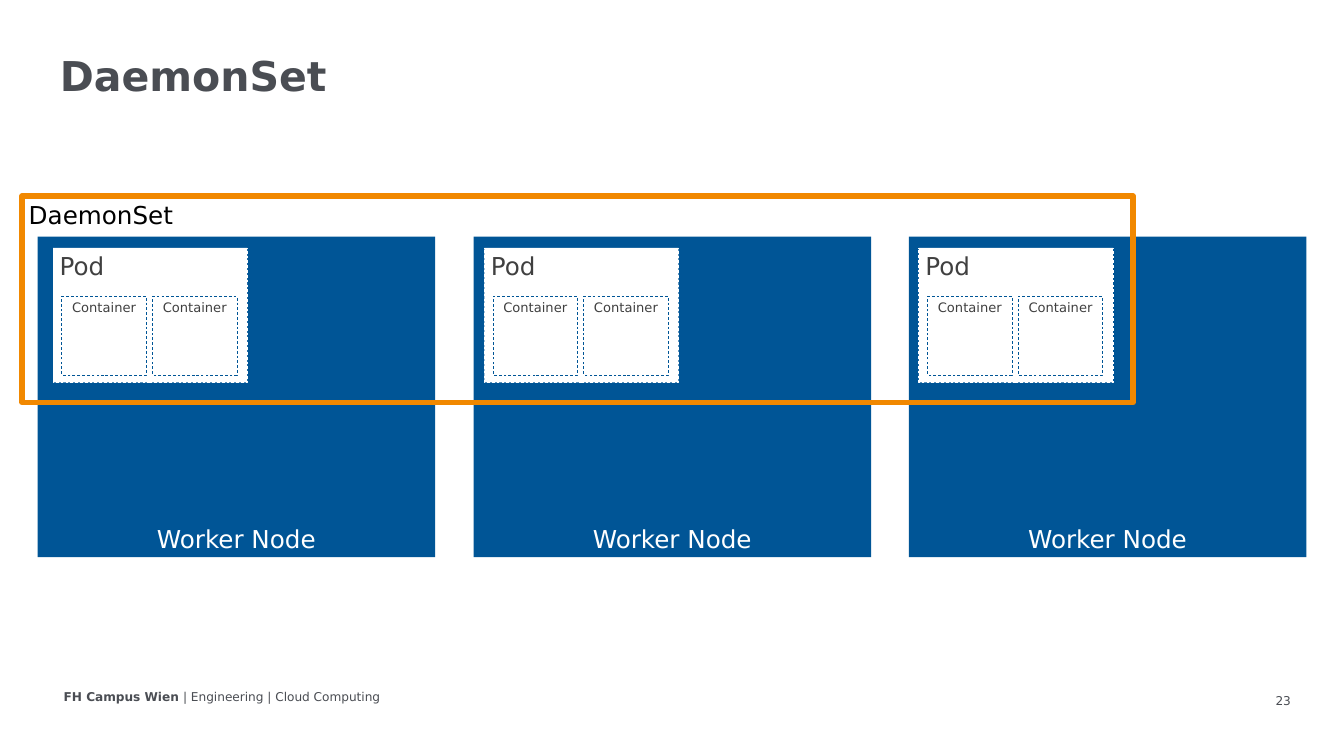
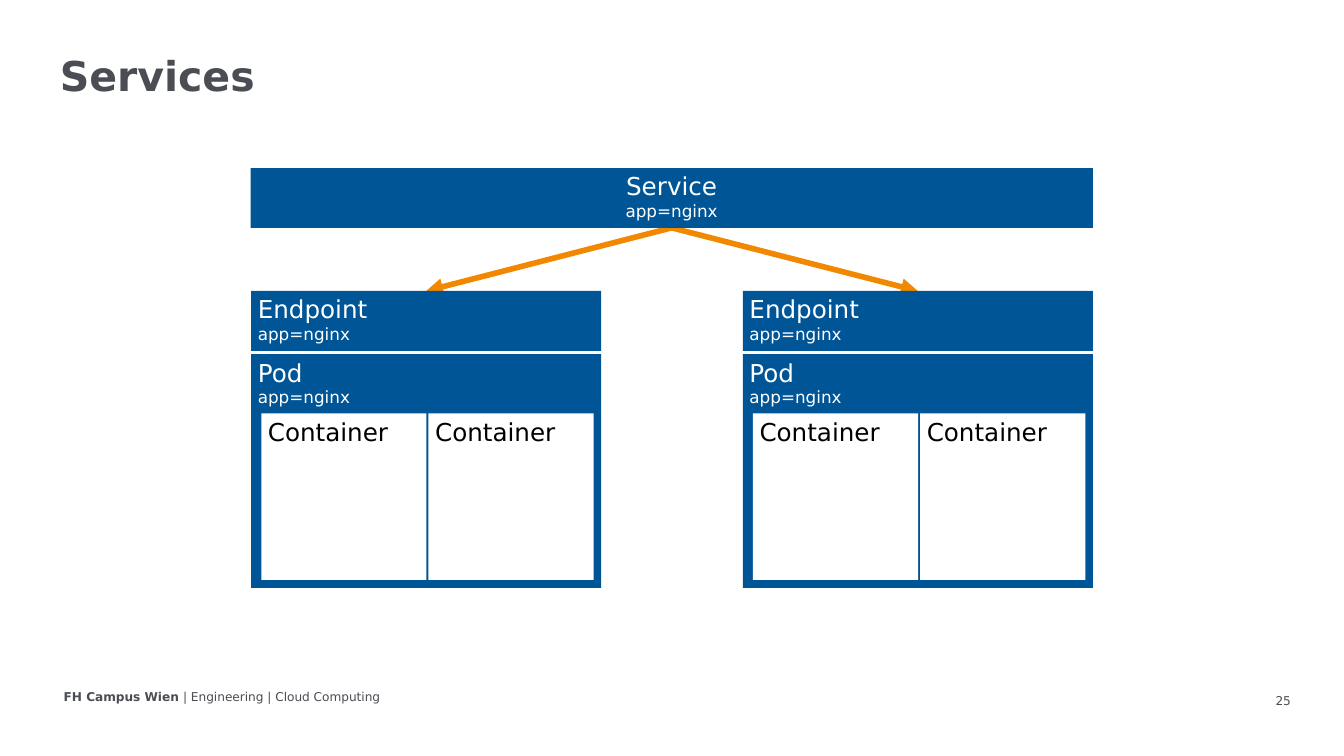
from dataclasses import dataclass
from typing import Any, Optional

import pptx
import pptx.dml.color
import pptx.enum.dml
import pptx.enum.shapes
import pptx.enum.text
import pptx.oxml.ns
import pptx.util
from lxml import etree

Inches = pptx.util.Inches
Pt = pptx.util.Pt
ALIGN = pptx.enum.text.PP_ALIGN
ANCHOR = pptx.enum.text.MSO_ANCHOR
FONT = "DejaVu Sans"
COLORS = {
    "blue": "005596",
    "orange": "F18800",
    "gray": "4A4D53",
    "dark": "404040",
    "white": "FFFFFF",
    "black": "000000",
}
LABEL_SIZE = 26.4
DETAIL_SIZE = 18


@dataclass(frozen=True)
class Style:
    fill: Optional[str]
    text: str
    size: float = LABEL_SIZE
    line: Optional[str] = None
    line_width: float = 0.75
    dashed: bool = False
    align: Any = ALIGN.LEFT
    anchor: Any = ANCHOR.TOP


@dataclass(frozen=True)
class Box:
    left: float
    top: float
    width: float
    height: float
    label: str
    style: Style
    detail: str = ""


WORKER = Style("blue", "white", align=ALIGN.CENTER, anchor=ANCHOR.BOTTOM)
FRAME = Style(None, "black", line="orange", line_width=6)
SMALL_POD = Style("white", "dark", line="white", dashed=True)
SMALL_CONTAINER = Style("white", "dark", 14, "blue", dashed=True, align=ALIGN.CENTER)
SERVICE = Style("blue", "white", align=ALIGN.CENTER)
BLOCK = Style("blue", "white")
CONTAINER = Style("white", "black")


def rgb(name: str) -> pptx.dml.color.RGBColor:
    return pptx.dml.color.RGBColor.from_string(COLORS[name])


def add_run(p: Any, text: str, size: float, color: str, bold: bool = False) -> None:
    r = p.add_run()
    r.text = text
    r.font.name = FONT
    r.font.size = Pt(size)
    r.font.bold = bold
    r.font.color.rgb = rgb(color)


def add_box(shapes: Any, box: Box) -> Any:
    style = box.style
    sp = shapes.add_shape(
        pptx.enum.shapes.MSO_SHAPE.RECTANGLE,
        Inches(box.left), Inches(box.top), Inches(box.width), Inches(box.height),
    )
    sp.shadow.inherit = False
    if style.fill:
        sp.fill.solid()
        sp.fill.fore_color.rgb = rgb(style.fill)
    else:
        sp.fill.background()
    if style.line:
        sp.line.color.rgb = rgb(style.line)
        sp.line.width = Pt(style.line_width)
        if style.dashed:
            sp.line.dash_style = pptx.enum.dml.MSO_LINE.DASH
    else:
        sp.line.fill.background()
    tf = sp.text_frame
    tf.word_wrap = True
    tf.vertical_anchor = style.anchor
    p = tf.paragraphs[0]
    p.alignment = style.align
    add_run(p, box.label, style.size, style.text)
    if box.detail:
        p.add_line_break()
        add_run(p, box.detail, DETAIL_SIZE, style.text)
    return sp


def add_arrow(shapes: Any) -> Any:
    arrow = shapes.add_connector(pptx.enum.shapes.MSO_CONNECTOR.STRAIGHT, 0, 0, 0, 0)
    arrow.line.color.rgb = rgb("orange")
    arrow.line.width = Pt(6)
    qn = pptx.oxml.ns.qn
    etree.SubElement(arrow.line._get_or_add_ln(), qn("a:tailEnd"), type="triangle")
    etree.SubElement(arrow._element.spPr, qn("a:effectLst"))
    return arrow


def add_slide(prs: Any, title: str, number: int) -> Any:
    s = prs.slides.add_slide(prs.slide_layouts[5])
    sp = s.shapes.title
    sp.left, sp.top = Inches(0.79), Inches(0.78)
    sp.width, sp.height = Inches(18.63), Inches(0.77)
    tf = sp.text_frame
    tf.auto_size = pptx.enum.text.MSO_AUTO_SIZE.NONE
    tf.vertical_anchor = ANCHOR.TOP
    p = tf.paragraphs[0]
    p.alignment = ALIGN.LEFT
    p.line_spacing = 0.9
    add_run(p, title, 44, "gray", True)

    tf = s.shapes.add_textbox(Inches(0.85), Inches(10.21), Inches(6.78), Inches(0.32)).text_frame
    tf.word_wrap = True
    p = tf.paragraphs[0]
    add_run(p, "FH Campus Wien ", 13, "gray", True)
    add_run(p, "| Engineering | Cloud Computing", 13, "gray")

    tf = s.shapes.add_textbox(Inches(14.92), Inches(10.21), Inches(4.5), Inches(0.42)).text_frame
    tf.word_wrap = True
    tf.vertical_anchor = ANCHOR.MIDDLE
    tf.margin_left = tf.margin_right = Inches(0.2)
    tf.margin_top = tf.margin_bottom = Inches(0.1)
    p = tf.paragraphs[0]
    p.alignment = ALIGN.RIGHT
    add_run(p, str(number), 13, "gray")
    return s


def build_daemon_set(prs: Any) -> None:
    s = add_slide(prs, "DaemonSet", 23)
    for left in (0.56, 7.05, 13.53):
        add_box(s.shapes, Box(left, 3.52, 5.92, 4.77, "Worker Node", WORKER))
    add_box(s.shapes, Box(0.33, 2.92, 16.54, 3.07, "DaemonSet", FRAME))
    for left in (0.79, 7.21, 13.68):
        pod = s.shapes.add_group_shape()
        add_box(pod.shapes, Box(left, 3.69, 2.89, 2, "Pod", SMALL_POD))
        for i in range(2):
            add_box(pod.shapes, Box(left + 0.13 + i * 1.35, 4.41, 1.26, 1.17,
                                    "Container", SMALL_CONTAINER))


def build_services(prs: Any) -> None:
    s = add_slide(prs, "Services", 25)
    label = "app=nginx"
    arrows = [add_arrow(s.shapes) for _ in range(2)]
    service = add_box(s.shapes, Box(3.73, 2.5, 12.54, 0.89, "Service", SERVICE, label))
    for left, arrow in zip((3.74, 11.06), arrows):
        add_box(s.shapes, Box(left, 5.27, 5.21, 3.48, "Pod", BLOCK, label))
        for i in range(2):
            add_box(s.shapes, Box(left + 0.15 + i * 2.49, 6.15, 2.46, 2.48,
                                  "Container", CONTAINER))
        endpoint = add_box(s.shapes, Box(left, 4.33, 5.21, 0.89, "Endpoint", BLOCK, label))
        arrow.begin_connect(service, 2)
        arrow.end_connect(endpoint, 0)


def main() -> None:
    prs = pptx.Presentation()
    prs.slide_width, prs.slide_height = Inches(20.01), Inches(11.25)
    build_daemon_set(prs)
    build_services(prs)
    prs.save("out.pptx")


if __name__ == "__main__":
    main()
